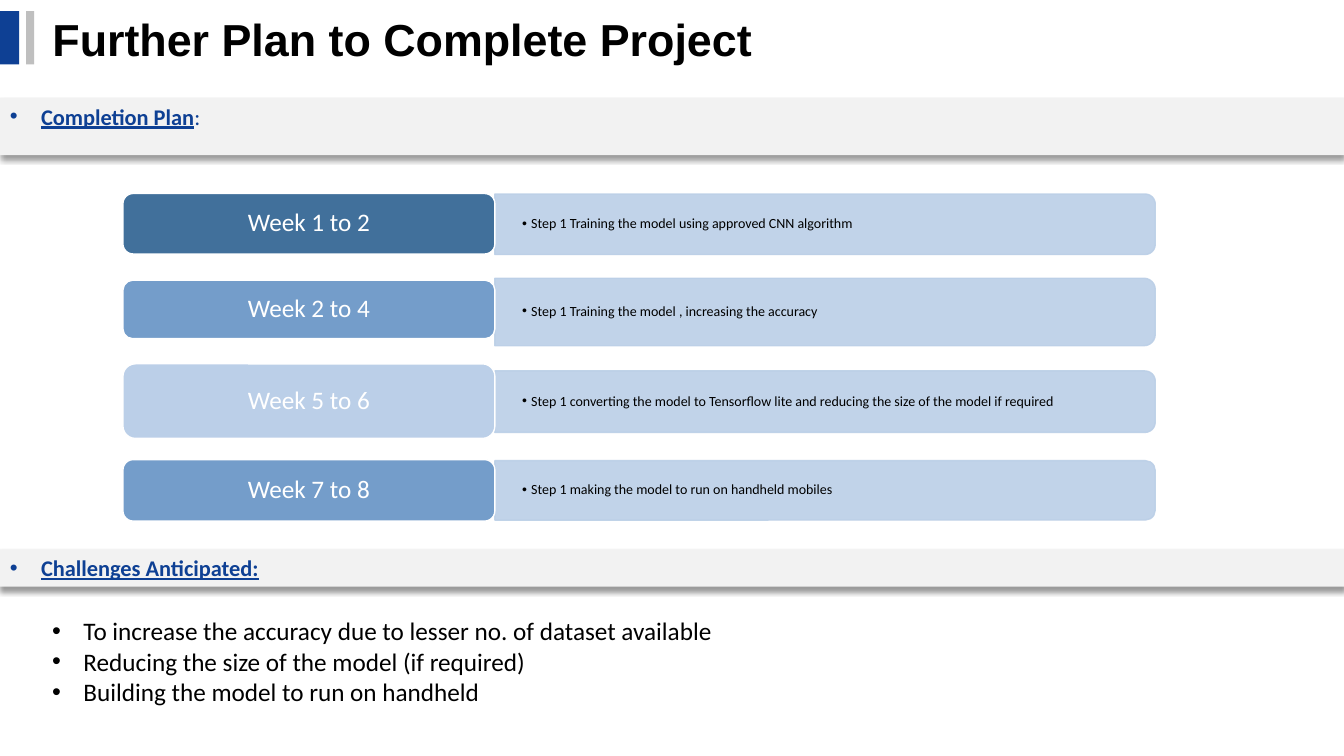
import pptx
import pptx.util
import pptx.dml.color
import pptx.enum.shapes
import pptx.enum.text
import pptx.oxml
import pptx.oxml.ns

Inches, Pt = pptx.util.Inches, pptx.util.Pt
SHAPE = pptx.enum.shapes.MSO_SHAPE
ALIGN = pptx.enum.text.PP_ALIGN
ANCHOR = pptx.enum.text.MSO_ANCHOR
WIDTH, HEIGHT = Inches(13.33), Inches(7.5)
COLUMN, ROW = WIDTH / 160, HEIGHT / 90
COLORS = {
    "navy": "0E4094", "grey": "BFBFBF", "band": "F2F2F2", "black": "000000",
    "white": "FFFFFF", "dark": "41709B", "middle": "749DCA", "light": "BBCFE8",
    "detail": "BBCFE7",
}
LABEL_LEFT, LABEL_WIDTH = 14.64, 44.28
DETAIL_LEFT, DETAIL_WIDTH = 58.92, 78.6
WEEKS = [
    ("Week 1 to 2", "dark", 26.64, 7.2, 26.7, 7.2,
     "Step 1 Training the model using approved CNN algorithm"),
    ("Week 2 to 4", "middle", 36.84, 6.96, 37.14, 8.04,
     "Step 1 Training the model , increasing the accuracy"),
    ("Week 5 to 6", "light", 47.76, 8.88, 47.82, 7.32,
     "Step 1 converting the model to Tensorflow lite and reducing the size of the model if required"),
    ("Week 7 to 8", "middle", 58.38, 7.32, 58.38, 7.08,
     "Step 1 making the model to run on handheld mobiles"),
]
CHALLENGES = """To increase the accuracy due to lesser no. of dataset available
Reducing the size of the model (if required)
Building the model to run on handheld"""


def color(name):
    """Return the named colour as an RGB value."""
    return pptx.dml.color.RGBColor.from_string(COLORS[name])


def place(left, top, width, height):
    """Turn grid columns and rows into slide lengths."""
    return [round(left * COLUMN), round(top * ROW), round(width * COLUMN), round(height * ROW)]


def append_xml(parent, tag, content):
    """Append one drawing element to its parent."""
    namespace = pptx.oxml.ns.nsdecls("a")
    parent.append(pptx.oxml.parse_xml(f"<a:{tag} {namespace} {content}"))


def add_bullet(paragraph, indent, tint):
    """Give a paragraph a hanging bullet."""
    properties = paragraph._p.get_or_add_pPr()
    properties.set("marL", str(Inches(indent)))
    properties.set("indent", str(-Inches(indent)))
    append_xml(properties, "buClr", f'><a:srgbClr val="{COLORS[tint]}"/></a:buClr>')
    append_xml(properties, "buFont", 'typeface="Arial"/>')
    append_xml(properties, "buChar", 'char="•"/>')


def write(shape, text, size=18, tint="black", font="Calibri", bold=False, underline=False,
          align=ALIGN.LEFT, anchor=ANCHOR.TOP, insets=(0.1, 0.05), bullet=0, spacing=None, tail=""):
    """Write formatted lines into a shape, with an optional plain tail."""
    frame = shape.text_frame
    frame.word_wrap = True
    frame.auto_size = pptx.enum.text.MSO_AUTO_SIZE.NONE
    frame.vertical_anchor = anchor
    frame.margin_left = frame.margin_right = Inches(insets[0])
    frame.margin_top = frame.margin_bottom = Inches(insets[1])
    for index, line in enumerate(text.split("\n")):
        paragraph = frame.add_paragraph() if index else frame.paragraphs[0]
        paragraph.alignment = align
        paragraph.line_spacing = spacing
        if bullet:
            add_bullet(paragraph, bullet, tint)
        for words, marked in ((line, True), (tail, False)):
            if words:
                run = paragraph.add_run()
                run.text = words
                run.font.name, run.font.size = font, Pt(size)
                run.font.bold, run.font.underline = bold and marked, underline and marked
                run.font.color.rgb = color(tint)


def add_block(slide, kind, box, fill, line=None):
    """Add a filled shape without a shadow."""
    shape = slide.shapes.add_shape(kind, *place(*box))
    shape.shadow.inherit = False
    shape.fill.solid()
    shape.fill.fore_color.rgb = color(fill)
    if line:
        shape.line.color.rgb = color(line)
        shape.line.width = Pt(1)
    else:
        shape.line.fill.background()
    return shape


def add_text_box(slide, box, text, **text_format):
    """Add a text box with formatted text."""
    write(slide.shapes.add_textbox(*place(*box)), text, **text_format)


def add_title(slide, text):
    """Place the title beside its two accent bars."""
    add_block(slide, SHAPE.RECTANGLE, (0, 1.32, 2.28, 6.36), "navy")
    add_block(slide, SHAPE.RECTANGLE, (3.12, 1.32, 0.96, 6.36), "grey")
    title = slide.shapes.title
    title.left, title.top, title.width, title.height = place(5.04, 0.72, 123.36, 7.68)
    write(title, text, size=32, font="Arial", bold=True, anchor=ANCHOR.MIDDLE)


def add_band(slide, top, height, text, tail=""):
    """Add a full-width heading band with a soft shadow below."""
    band = add_block(slide, SHAPE.RECTANGLE, (0, top, 160, height), "band")
    effects = band.element.spPr.find(pptx.oxml.ns.qn("a:effectLst"))
    append_xml(effects, "outerShdw",
               f'blurRad="{Pt(4)}" dist="{Pt(3)}" dir="5400000" rotWithShape="0">'
               f'<a:srgbClr val="{COLORS["black"]}"><a:alpha val="40000"/></a:srgbClr></a:outerShdw>')
    write(band, text, size=16, tint="navy", bold=True, underline=True,
          align=ALIGN.JUSTIFY, bullet=0.31, tail=tail)


def add_week(slide, week, fill, label_middle, label_height, detail_middle, detail_height, step):
    """Add one week label and the step beside it."""
    detail_center = DETAIL_LEFT + DETAIL_WIDTH / 2
    upright = (detail_center - detail_height / 2, detail_middle - DETAIL_WIDTH / 2,
               detail_height, DETAIL_WIDTH)
    detail = add_block(slide, SHAPE.ROUND_2_SAME_RECTANGLE, upright, "detail", "detail")
    detail.rotation = 90
    detail.adjustments[0], detail.adjustments[1] = 0.167, 0
    for tone in detail.element.spPr.iter(pptx.oxml.ns.qn("a:srgbClr")):
        append_xml(tone, "alpha", 'val="90000"/>')
    add_text_box(slide, (DETAIL_LEFT, detail_middle - detail_height / 2, DETAIL_WIDTH, detail_height),
                 step, size=10, anchor=ANCHOR.MIDDLE, insets=(0.27, 0.14), bullet=0.09, spacing=0.9)
    label = add_block(slide, SHAPE.ROUNDED_RECTANGLE,
                      (LABEL_LEFT, label_middle - label_height / 2, LABEL_WIDTH, label_height),
                      fill, "white")
    label.adjustments[0] = 0.167
    write(label, week, tint="white", align=ALIGN.CENTER, anchor=ANCHOR.MIDDLE, spacing=0.9)


def main():
    """Build and save the project plan slide."""
    presentation = pptx.Presentation()
    presentation.slide_width, presentation.slide_height = WIDTH, HEIGHT
    slide = presentation.slides.add_slide(presentation.slide_layouts[5])
    add_title(slide, "Further Plan to Complete Project")
    add_band(slide, 11.64, 6.84, "Completion Plan", tail=":")
    for week in WEEKS:
        add_week(slide, *week)
    add_band(slide, 65.4, 4.44, "Challenges Anticipated:")
    add_text_box(slide, (5.04, 72.72, 102.12, 16.8), CHALLENGES, bullet=0.31)
    presentation.save("out.pptx")


if __name__ == "__main__":
    main()
